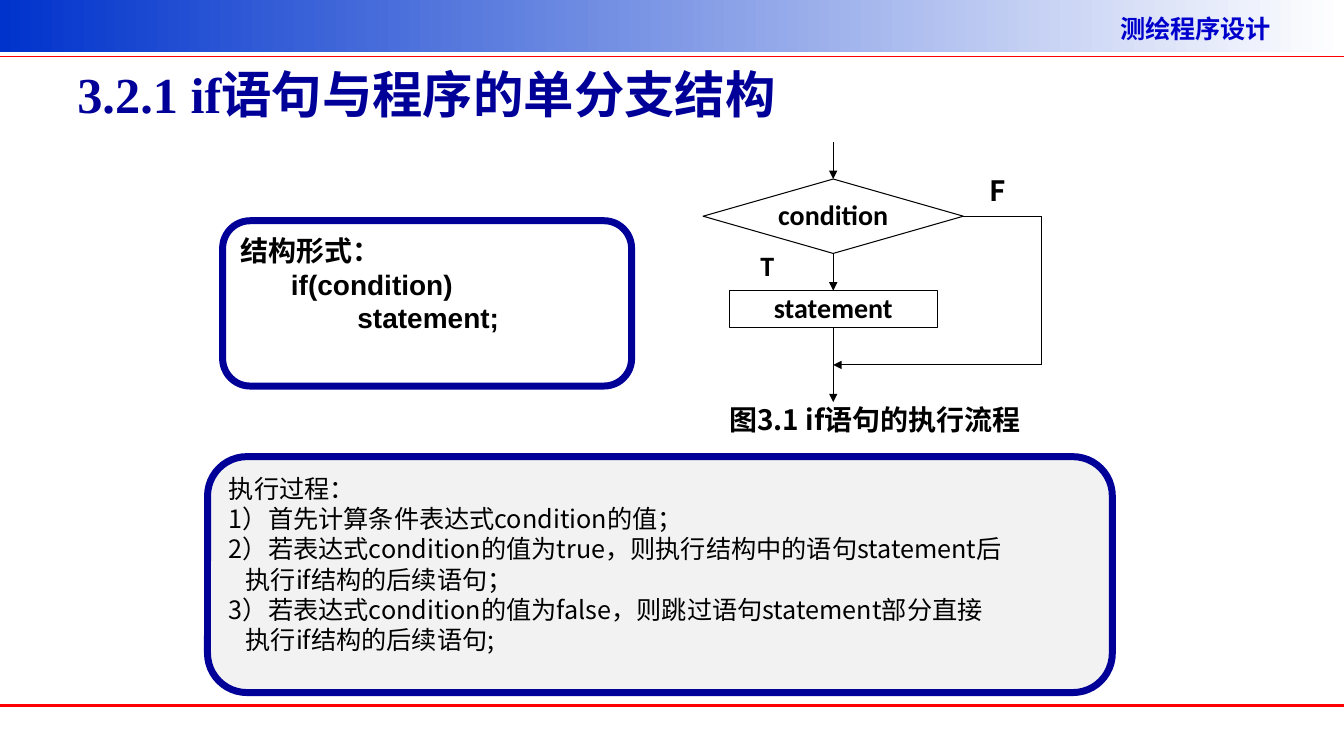
"""Builds a slide on the single-branch if statement with its flow chart."""
from lxml import etree
from pptx import Presentation
from pptx.dml import color
from pptx.enum import shapes, text
from pptx.oxml import ns
from pptx.util import Pt

COLORS = {"navy": "000099", "blue": "0000CC", "band": "0033CC", "red": "FF0000",
          "pale": "F2F2F2", "black": "000000", "white": "FFFFFF"}
SANS = "Noto Sans CJK SC"
WIDTH, HEIGHT = 960.5, 540

COURSE = "测绘程序设计"
TITLE = "3.2.1 if语句与程序的单分支结构"
SYNTAX = [("结构形式：", 0, 0), ("if(condition)", 36, 0), ("statement;", 83.5, 0)]
PROCESS = [
    ("执行过程：", 0, 0),
    ("1）首先计算条件表达式condition的值；", 12, -12),
    ("2）若表达式condition的值为true，则执行结构中的语句statement后\v执行if结构的后续语句；", 12, -12),
    ("3）若表达式condition的值为false，则跳过语句statement部分直接\v执行if结构的后续语句;", 12, -12),
]
CAPTION = "图3.1 if语句的执行流程"

AXIS, COLUMN = 595.5, 18.6
FLOW_TOP, ROW = 101.3, 26.57
FLOW_NODES = [("condition", "FLOWCHART_DECISION", 5, 1, 3), ("statement", "RECTANGLE", 4, 4, 5)]
FLOW_LINES = [
    ((0, 0), (0, 1), True),
    ((0, 3), (0, 4), True),
    ((0, 5), (0, 7), True),
    ((5, 2), (8, 2), False),
    ((8, 2), (8, 6), False),
    ((8, 6), (0, 6), True),
]
FLOW_LABELS = [
    ("F", SANS, (707.1, 123.8, 37.2, 23.8)),
    ("T", "Calibri", (543.5, 177.8, 14, 23.8)),
    (CAPTION, SANS, (521.1, 287.3, 223.2, 23.8)),
]


def rgb(name):
    return color.RGBColor.from_string(COLORS[name])


def write(shape, content, size=20, font=SANS, ink="black", bold=True,
          align=text.PP_ALIGN.LEFT, anchor=text.MSO_ANCHOR.TOP, inset=(0, 0), fixed=True):
    frame = shape.text_frame
    frame.word_wrap = True
    frame.vertical_anchor = anchor
    frame.margin_left = frame.margin_right = Pt(inset[0])
    frame.margin_top = frame.margin_bottom = Pt(inset[1])
    lines = [(content, 0, 0)] if isinstance(content, str) else content
    for index, (line, left, first) in enumerate(lines):
        paragraph = frame.add_paragraph() if index else frame.paragraphs[0]
        paragraph.text = line
        paragraph.alignment = align
        if fixed:
            paragraph.line_spacing = Pt(size * 1.2)
        properties = paragraph._p.get_or_add_pPr()
        properties.set("marL", str(Pt(left)))
        properties.set("indent", str(Pt(first)))
        for run in paragraph.runs:
            run.font.name, run.font.size, run.font.bold = font, Pt(size), bold
            run.font.color.rgb = rgb(ink)
            east_asian = etree.SubElement(run.font._element, ns.qn("a:ea"))
            east_asian.set("typeface", SANS)


def add_box(slide, kind, bounds, fill=None, line=None, weight=0.75):
    box = slide.shapes.add_shape(shapes.MSO_SHAPE[kind], *map(Pt, bounds))
    box.shadow.inherit = False
    if fill:
        box.fill.solid()
        box.fill.fore_color.rgb = rgb(fill)
    else:
        box.fill.background()
    if line:
        box.line.color.rgb = rgb(line)
        box.line.width = Pt(weight)
    else:
        box.line.fill.background()
    return box


def add_line(slide, start, end, ink="black", weight=0.75, arrow=False):
    line = slide.shapes.add_connector(shapes.MSO_CONNECTOR.STRAIGHT, *map(Pt, start + end))
    line.line.color.rgb = rgb(ink)
    line.line.width = Pt(weight)
    if arrow:
        head = etree.SubElement(line.line._get_or_add_ln(), ns.qn("a:tailEnd"))
        head.set("type", "triangle")
    etree.SubElement(line._element.spPr, ns.qn("a:effectLst"))


def flow_point(column, row):
    return AXIS + COLUMN * column, FLOW_TOP + ROW * row


def add_frame(slide):
    band = add_box(slide, "RECTANGLE", (0, 0, WIDTH, 37.4))
    band.fill.gradient()
    band.fill.gradient_angle = 0
    for stop, name, position in zip(band.fill.gradient_stops, ("band", "white"), (0, 1)):
        stop.color.rgb = rgb(name)
        stop.position = position
    course = slide.shapes.add_textbox(*map(Pt, (793.4, 5.8, 160, 28.8)))
    write(course, COURSE, size=18, ink="blue", inset=(7.2, 3.6))
    for y, weight in ((40.3, 1), (504, 2.25)):
        add_line(slide, (0, y), (WIDTH, y), "red", weight)
    title = slide.shapes.add_textbox(*map(Pt, (48.2, 21.6, 864, 90)))
    write(title, TITLE, size=36, font="Times New Roman", ink="navy",
          anchor=text.MSO_ANCHOR.MIDDLE, inset=(7.2, 3.6), fixed=False)


def add_panels(slide):
    syntax = add_box(slide, "ROUNDED_RECTANGLE", (159.1, 157.7, 292.3, 118.1), None, "navy", 5)
    write(syntax, SYNTAX, font="Arial", inset=(7.2, 3.6))
    process = add_box(slide, "ROUNDED_RECTANGLE", (148.3, 326.2, 646.6, 168.5), "pale", "navy", 5)
    write(process, PROCESS, size=18, bold=False, inset=(7.2, 3.6))


def add_flow(slide):
    for label, kind, half, top, bottom in FLOW_NODES:
        x, y = flow_point(-half, top)
        node = add_box(slide, kind, (x, y, 2 * half * COLUMN, (bottom - top) * ROW), "white", "black")
        write(node, label, font="Calibri", align=text.PP_ALIGN.CENTER)
    for start, end, arrow in FLOW_LINES:
        add_line(slide, flow_point(*start), flow_point(*end), arrow=arrow)
    for label, font, bounds in FLOW_LABELS:
        write(slide.shapes.add_textbox(*map(Pt, bounds)), label, font=font)


def main():
    deck = Presentation()
    deck.slide_width, deck.slide_height = Pt(WIDTH), Pt(HEIGHT)
    slide = deck.slides.add_slide(deck.slide_layouts[6])
    add_frame(slide)
    add_panels(slide)
    add_flow(slide)
    deck.save("out.pptx")


if __name__ == "__main__":
    main()
